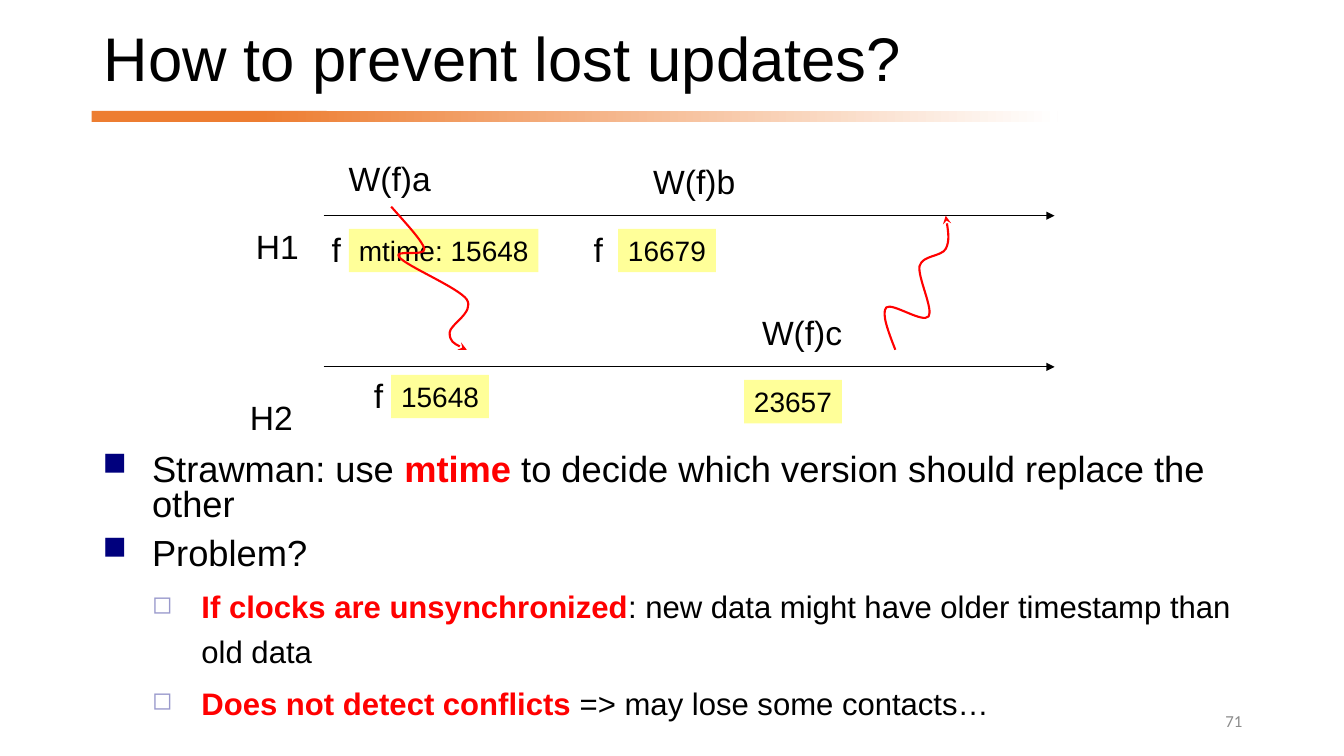
from dataclasses import dataclass

from lxml import etree
from pptx import Presentation
from pptx.dml.color import RGBColor
from pptx.enum.shapes import MSO_CONNECTOR, MSO_SHAPE
from pptx.enum.text import MSO_ANCHOR, PP_ALIGN
from pptx.oxml.ns import qn
from pptx.util import Inches, Pt


@dataclass(frozen=True)
class Theme:
    black: str = "000000"
    red: str = "FF0000"
    yellow: str = "FFFF99"
    orange: str = "ED7D31"
    white: str = "FFFFFF"
    gray: str = "8C8C8C"
    navy: str = "00007D"
    lilac: str = "9999CC"
    font: str = "Arial"
    number_font: str = "Calibri"
    title: float = 44
    label: float = 24
    stamp: float = 20
    number: float = 12


@dataclass(frozen=True)
class Label:
    text: str
    left: float
    top: float
    width: float
    height: float = 0.5


@dataclass(frozen=True)
class Level:
    char: str
    color: str
    percent: int
    indent: float
    size: float
    spacing: float
    before: float


@dataclass(frozen=True)
class Bullet:
    level: int
    runs: tuple[tuple[str, bool], ...]  # text, highlighted


T = Theme()
TIMELINES = (2.14, 3.64)
LABELS = (
    Label("H1", 2.44, 2.19, 0.63),
    Label("H2", 2.38, 3.89, 0.63),
    Label("W(f)a", 3.36, 1.52, 1.02),
    Label("W(f)b", 6.38, 1.55, 1.02),
    Label("W(f)c", 7.46, 3.05, 1),
    Label("f", 3.19, 2.22, 0.29),
    Label("f", 5.79, 2.22, 0.29),
    Label("f", 3.61, 3.67, 0.29),
)
STAMPS = (
    Label("mtime: 15648", 3.46, 2.27, 1.88, 0.43),
    Label("16679", 6.13, 2.27, 0.97, 0.43),
    Label("23657", 7.38, 3.77, 0.97, 0.43),
    Label("15648", 3.88, 3.72, 0.97, 0.43),
)
# Each curve: a start point, then three Bezier points per segment
MESSAGES = (
    ((3.88, 2.05), (4.03, 2.22), (4.19, 2.39), (4.21, 2.47),
     (4.22, 2.55), (3.89, 2.47), (3.96, 2.55),
     (4.03, 2.64), (4.54, 2.85), (4.63, 2.97),
     (4.71, 3.1), (4.46, 3.22), (4.46, 3.3),
     (4.46, 3.39), (4.54, 3.43), (4.63, 3.47)),
    ((8.88, 3.47), (8.81, 3.29), (8.74, 3.11), (8.79, 3.05),
     (8.85, 3), (9.15, 3.21), (9.21, 3.14),
     (9.26, 3.07), (9.1, 2.75), (9.12, 2.64),
     (9.15, 2.53), (9.33, 2.55), (9.38, 2.47),
     (9.42, 2.39), (9.4, 2.26), (9.38, 2.14)),
)
LEVELS = (
    Level("■", T.navy, 90, 0.49, 25.9, 0.8, 10),
    Level("◻", T.lilac, 80, 0.98, 22.2, 1.2, 5),
)
BULLETS = (
    Bullet(0, (("Strawman: use ", False), ("mtime", True),
               (" to decide which version should replace the other", False))),
    Bullet(0, (("Problem?", False),)),
    Bullet(1, (("If clocks are unsynchronized", True),
               (": new data might have older timestamp than old data", False))),
    Bullet(1, (("Does not detect conflicts ", True),
               ("=> may lose some contacts…", False))),
)


def rgb(color: str) -> RGBColor:
    return RGBColor.from_string(color)


def style_font(font, size: float, color: str = T.black, name: str = T.font) -> None:
    font.size, font.name = Pt(size), name
    font.color.rgb = rgb(color)


def box(label: Label) -> tuple:
    return tuple(Inches(v) for v in (label.left, label.top, label.width, label.height))


def add_text(s, label: Label, size: float, wrap: bool = False):
    sp = s.shapes.add_textbox(*box(label))
    tf = sp.text_frame
    tf.word_wrap = wrap
    tf.text = label.text
    style_font(tf.paragraphs[0].runs[0].font, size)
    return tf


def add_rect(s, label: Label, color: str):
    sp = s.shapes.add_shape(MSO_SHAPE.RECTANGLE, *box(label))
    sp.shadow.inherit = False
    sp.line.fill.background()
    sp.fill.solid()
    sp.fill.fore_color.rgb = rgb(color)
    return sp


def add_stamp(s, label: Label) -> None:
    tf = add_rect(s, label, T.yellow).text_frame
    tf.word_wrap, tf.vertical_anchor = False, MSO_ANCHOR.TOP
    tf.text = label.text
    p = tf.paragraphs[0]
    p.alignment = PP_ALIGN.LEFT
    style_font(p.runs[0].font, T.stamp)


def style_arrow(line, color: str, width: float, head: str) -> None:
    line.color.rgb, line.width = rgb(color), Pt(width)
    etree.SubElement(line._get_or_add_ln(), qn("a:tailEnd"), type=head)


def add_timeline(s, top: float) -> None:
    y = Inches(top)
    cn = s.shapes.add_connector(MSO_CONNECTOR.STRAIGHT, Inches(3.21), y, Inches(10.46), y)
    style_arrow(cn.line, T.black, 0.75, "triangle")
    etree.SubElement(cn._element.spPr, qn("a:effectLst"))


def add_message(s, points: tuple[tuple[float, float], ...]) -> None:
    start, *rest = [(Inches(x), Inches(y)) for x, y in points]
    builder = s.shapes.build_freeform(*start)
    builder.add_line_segments(rest, close=False)
    sp = builder.convert_to_shape()
    sp.shadow.inherit = False
    sp.fill.background()
    style_arrow(sp.line, T.red, 1.5, "stealth")
    # Turn every three straight segments into one Bezier segment
    segments = sp._element.xpath(".//a:lnTo")
    for i in range(0, len(segments), 3):
        curve = etree.Element(qn("a:cubicBezTo"))
        segments[i].addprevious(curve)
        for segment in segments[i:i + 3]:
            curve.append(segment[0])
            segment.getparent().remove(segment)


def add_bullet(p, bullet: Bullet, first: bool) -> None:
    level = LEVELS[bullet.level]
    p.level = bullet.level
    pPr = p._p.get_or_add_pPr()
    pPr.set("marL", str(Inches(level.indent)))
    pPr.set("indent", str(Inches(-0.49)))
    color = etree.SubElement(pPr, qn("a:buClr"))
    etree.SubElement(color, qn("a:srgbClr"), val=level.color)
    etree.SubElement(pPr, qn("a:buSzPct"), val=str(level.percent * 1000))
    etree.SubElement(pPr, qn("a:buChar"), char=level.char)
    p.line_spacing = level.spacing
    p.space_before = Pt(0 if first else level.before)
    for text, marked in bullet.runs:
        r = p.add_run()
        r.text = text
        r.font.bold = marked
        style_font(r.font, level.size, T.red if marked else T.black)


def main() -> None:
    prs = Presentation()
    prs.slide_width, prs.slide_height = Inches(13.33), Inches(7.5)
    s = prs.slides.add_slide(prs.slide_layouts[6])

    # Title and fading rule
    add_rect(s, Label("", 0.91, 1.1, 2.33, 0.11), T.orange)
    fade = add_rect(s, Label("", 2.57, 1.1, 7.92, 0.11), T.orange).fill
    fade.gradient()
    fade.gradient_angle = 0
    for stop, color in zip(fade.gradient_stops, (T.orange, T.white)):
        stop.color.rgb = rgb(color)
    title = Label("How to prevent lost updates?", 0.93, 0.17, 11.14, 0.89)
    tf = add_text(s, title, T.title, wrap=True)
    tf.vertical_anchor = MSO_ANCHOR.MIDDLE
    tf.paragraphs[0].line_spacing = 0.9

    # Timeline diagram
    for top in TIMELINES:
        add_timeline(s, top)
    for label in LABELS:
        add_text(s, label, T.label)
    for stamp in STAMPS:
        add_stamp(s, stamp)
    for points in MESSAGES:
        add_message(s, points)

    # Bullets
    tf = s.shapes.add_textbox(*box(Label("", 0.92, 4.46, 11.5, 2.86))).text_frame
    tf.word_wrap = True
    for i, bullet in enumerate(BULLETS):
        add_bullet(tf.add_paragraph() if i else tf.paragraphs[0], bullet, first=i == 0)

    # Slide number
    tf = add_text(s, Label("71", 9.42, 6.95, 3, 0.4), T.number, wrap=True)
    tf.vertical_anchor = MSO_ANCHOR.MIDDLE
    p = tf.paragraphs[0]
    p.alignment = PP_ALIGN.RIGHT
    style_font(p.runs[0].font, T.number, T.gray, T.number_font)

    prs.save("out.pptx")


if __name__ == "__main__":
    main()
